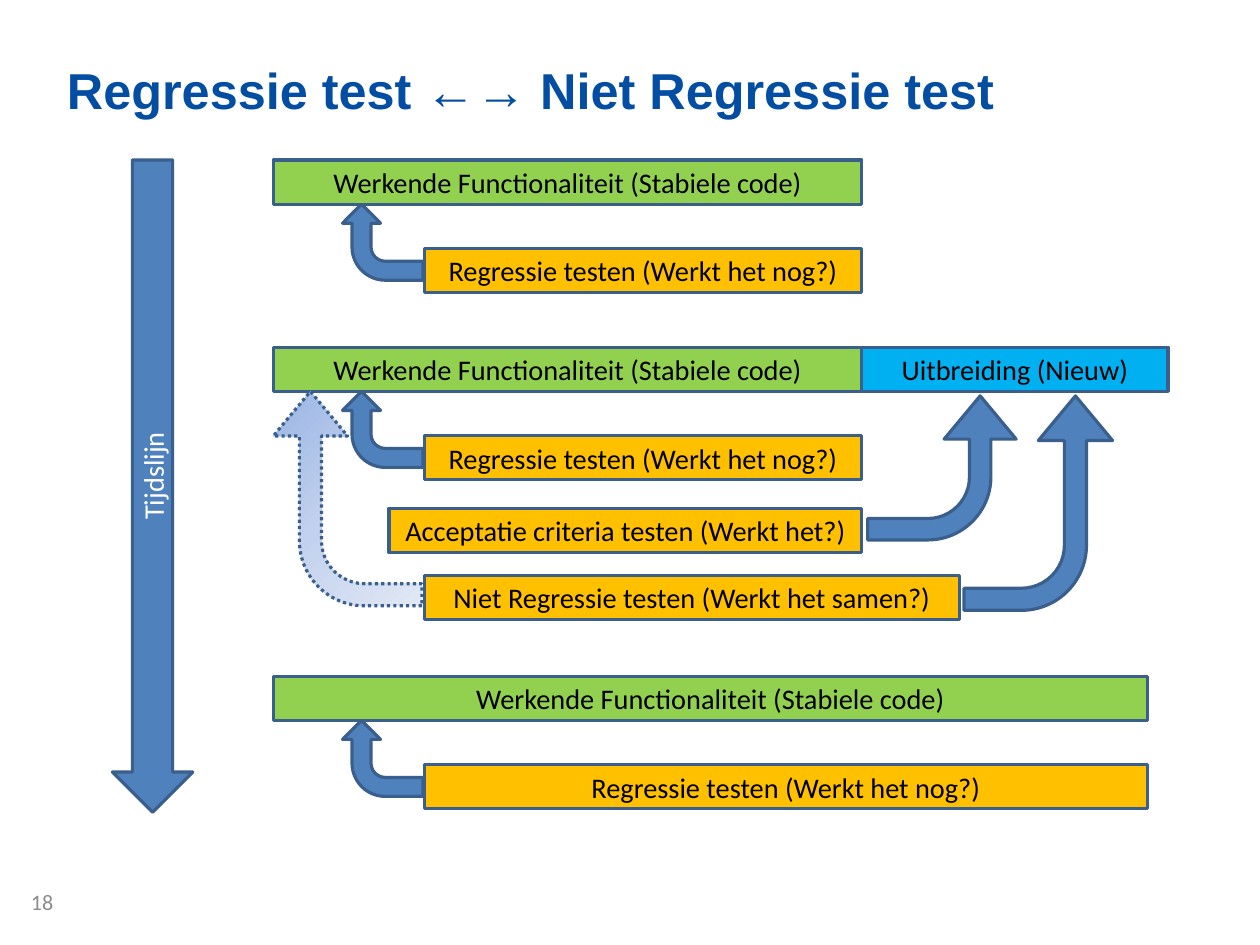
"""Build the slide on regression versus non-regression tests along a timeline."""
from dataclasses import dataclass
from typing import Optional

import lxml.etree
import pptx
import pptx.dml.color
import pptx.enum.dml
import pptx.enum.shapes
import pptx.enum.text
import pptx.oxml.ns
import pptx.util

Inches = pptx.util.Inches
Pt = pptx.util.Pt
MSO_SHAPE = pptx.enum.shapes.MSO_SHAPE
PP_ALIGN = pptx.enum.text.PP_ALIGN
qn = pptx.oxml.ns.qn

BLUE, OUTLINE = "4F81BD", "3A5F8C"
GREEN, ORANGE, CYAN = "92D050", "FFC000", "00B0F0"
BAR_HEIGHT = 0.39
CODE_LEFT, TEST_LEFT, CODE_RIGHT = 2.41, 3.74, 7.6
WIDE_BEND = (0.149, 0.25, 0.3, 0.438)
FADE = ((0, "9AB5E4"), (50, "C2D1ED"), (100, "E1E8F5"))


@dataclass
class Bar:
    text: str
    left: float
    top: float
    right: float
    fill: str


@dataclass
class Bend:
    left: float
    top: float
    width: float
    height: float
    adjustments: tuple = ()
    flipped: bool = False
    faded: bool = False


@dataclass
class Stage:
    top: float
    right: float


@dataclass
class Label:
    text: str
    box: tuple
    size: float
    font: str
    color: str
    bold: bool = False
    align: Optional[PP_ALIGN] = None


STAGES = [Stage(1.41, CODE_RIGHT), Stage(3.06, CODE_RIGHT), Stage(5.96, 10.12)]
EXTENSION_BARS = [
    Bar("Uitbreiding (Nieuw)", CODE_RIGHT, 3.06, 10.3, CYAN),
    Bar("Acceptatie criteria testen (Werkt het?)", 3.43, 4.48, CODE_RIGHT, ORANGE),
    Bar("Niet Regressie testen (Werkt het samen?)", TEST_LEFT, 5.07, 8.46, ORANGE),
]
EXTENSION_BENDS = [
    Bend(2.12, 3.74, 1.89, 1.31, WIDE_BEND, faded=True),
    Bend(8.21, 3.78, 1.89, 1.31, WIDE_BEND, flipped=True),
    Bend(7.67, 3.47, 1.27, 1.31, WIDE_BEND, flipped=True),
]
LABELS = [
    Label("Regressie test ←→ Niet Regressie test", (0.59, 0.52, 10.17, 0.79),
          32, "Arial", "034EA2", bold=True),
    Label("18", (-0.11, 7.83, 0.58, 0.2), 14, "Calibri", "8C8C8C", align=PP_ALIGN.RIGHT),
]


def rgb(color: str) -> pptx.dml.color.RGBColor:
    return pptx.dml.color.RGBColor.from_string(color)


def set_font(p, size: float, name: str, color: str, bold: bool = False) -> None:
    p.font.size = Pt(size)
    p.font.name = name
    p.font.bold = bold
    p.font.color.rgb = rgb(color)


def add_label(slide, label: Label) -> None:
    tf = slide.shapes.add_textbox(*map(Inches, label.box)).text_frame
    tf.word_wrap = True
    tf.margin_left = tf.margin_right = tf.margin_top = tf.margin_bottom = 0
    p = tf.paragraphs[0]
    p.text = label.text
    p.alignment = label.align
    set_font(p, label.size, label.font, label.color, label.bold)


def add_outlined(slide, kind: MSO_SHAPE, box: tuple, fill: str):
    s = slide.shapes.add_shape(kind, *map(Inches, box))
    s.shadow.inherit = False
    s.fill.solid()
    s.fill.fore_color.rgb = rgb(fill)
    s.line.color.rgb = rgb(OUTLINE)
    s.line.width = Pt(2)
    return s


def write_centred(s, text: str, color: str) -> None:
    tf = s.text_frame
    tf.word_wrap = True
    tf.vertical_anchor = pptx.enum.text.MSO_ANCHOR.MIDDLE
    p = tf.paragraphs[0]
    p.text = text
    p.alignment = PP_ALIGN.CENTER
    set_font(p, 18, "Calibri", color)


def add_bar(slide, bar: Bar) -> None:
    box = (bar.left, bar.top, bar.right - bar.left, BAR_HEIGHT)
    write_centred(add_outlined(slide, MSO_SHAPE.RECTANGLE, box, bar.fill), bar.text, "000000")


def fade(s) -> None:
    sp_pr = s.element.spPr
    grad = lxml.etree.Element(qn("a:gradFill"), rotWithShape="1")
    stops = lxml.etree.SubElement(grad, qn("a:gsLst"))
    for percent, color in FADE:
        stop = lxml.etree.SubElement(stops, qn("a:gs"), pos=str(percent * 1000))
        lxml.etree.SubElement(stop, qn("a:srgbClr"), val=color)
    lxml.etree.SubElement(grad, qn("a:lin"), ang=str(135 * 60000), scaled="0")
    sp_pr.replace(sp_pr.find(qn("a:solidFill")), grad)
    s.line.dash_style = pptx.enum.dml.MSO_LINE.ROUND_DOT


def add_bend(slide, bend: Bend) -> None:
    box = (bend.left, bend.top, bend.width, bend.height)
    s = add_outlined(slide, MSO_SHAPE.BENT_ARROW, box, BLUE)
    s.rotation = 270
    for i, value in enumerate(bend.adjustments):
        s.adjustments[i] = value
    if bend.flipped:
        s.element.spPr.find(qn("a:xfrm")).set("flipV", "1")
    if bend.faded:
        fade(s)


def add_timeline(slide) -> None:
    s = add_outlined(slide, MSO_SHAPE.DOWN_ARROW, (0.99, 1.41, 0.71, 5.75), BLUE)
    write_centred(s, "Tijdslijn", "FFFFFF")
    s.element.txBody.find(qn("a:bodyPr")).set("vert", "vert270")


def add_stage(slide, stage: Stage) -> None:
    add_bar(slide, Bar("Werkende Functionaliteit (Stabiele code)",
                       CODE_LEFT, stage.top, stage.right, GREEN))
    add_bar(slide, Bar("Regressie testen (Werkt het nog?)",
                       TEST_LEFT, stage.top + 0.78, stage.right, ORANGE))
    add_bend(slide, Bend(3.04, stage.top + 0.37, 0.67, 0.71))


def main() -> None:
    prs = pptx.Presentation()
    prs.slide_width, prs.slide_height = Inches(11.11), Inches(8.33)
    slide = prs.slides.add_slide(prs.slide_layouts[6])
    for label in LABELS:
        add_label(slide, label)
    add_timeline(slide)
    for stage in STAGES:
        add_stage(slide, stage)
    for bar in EXTENSION_BARS:
        add_bar(slide, bar)
    for bend in EXTENSION_BENDS:
        add_bend(slide, bend)
    prs.save("out.pptx")


if __name__ == "__main__":
    main()
